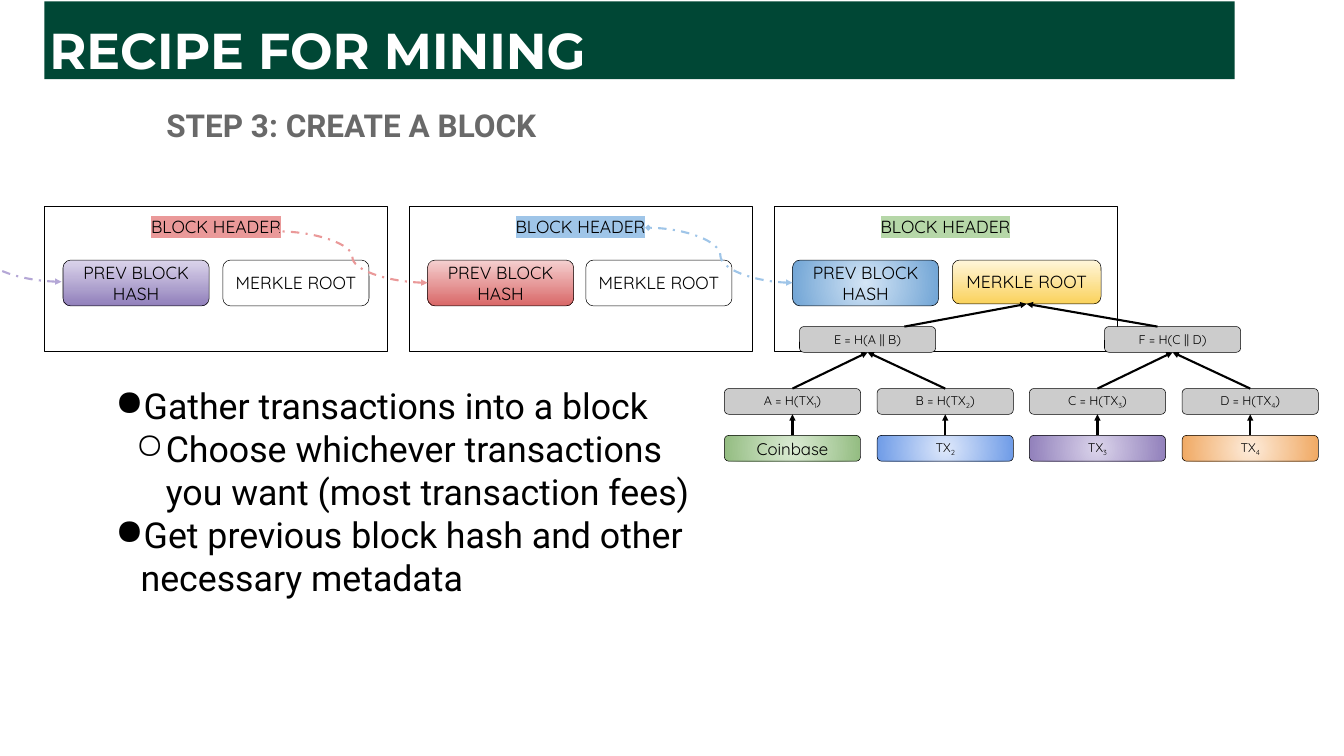
from lxml import etree
from pptx import Presentation
from pptx.dml.color import RGBColor
from pptx.enum.dml import MSO_LINE
from pptx.enum.shapes import MSO_CONNECTOR, MSO_SHAPE
from pptx.enum.text import MSO_ANCHOR, PP_ALIGN
from pptx.oxml.ns import qn
from pptx.util import Pt

PX = 9144  # 100 px to the inch
RECT, ROUNDED = MSO_SHAPE.RECTANGLE, MSO_SHAPE.ROUNDED_RECTANGLE
STRAIGHT, CURVE = MSO_CONNECTOR.STRAIGHT, MSO_CONNECTOR.CURVE
LEFT, CENTER = PP_ALIGN.LEFT, PP_ALIGN.CENTER
TOP, MIDDLE = MSO_ANCHOR.TOP, MSO_ANCHOR.MIDDLE
DASH_DOT = MSO_LINE.DASH_DOT
SITE_TOP, SITE_BOTTOM = 0, 2

BLACK = RGBColor(0x00, 0x00, 0x00)
WHITE = RGBColor(0xFF, 0xFF, 0xFF)
GREEN = RGBColor(0x00, 0x47, 0x35)
DARK_GRAY = RGBColor(0x69, 0x69, 0x69)
GRAY = RGBColor(0xCC, 0xCC, 0xCC)
PINK = RGBColor(0xEA, 0x99, 0x99)
SKY = RGBColor(0x9F, 0xC5, 0xE8)
LIME = RGBColor(0xB6, 0xD7, 0xA8)
LILAC = RGBColor(0xB4, 0xA7, 0xD6)
PURPLES = [RGBColor(0xDB, 0xD4, 0xEB), RGBColor(0x91, 0x80, 0xBB)]
REDS = [RGBColor(0xF5, 0xD0, 0xD0), RGBColor(0xD9, 0x68, 0x68)]
SKIES = [RGBColor(0xD4, 0xE5, 0xF5), RGBColor(0x70, 0xA4, 0xD5)]
YELLOWS = [RGBColor(0xFF, 0xF6, 0xDB), RGBColor(0xFA, 0xD2, 0x5C)]
LIMES = [RGBColor(0xDC, 0xEC, 0xD5), RGBColor(0x93, 0xBC, 0x81)]
BLUES = [RGBColor(0xDF, 0xE9, 0xFB), RGBColor(0x6E, 0x9B, 0xE7)]
ORANGES = [RGBColor(0xFD, 0xEC, 0xDB), RGBColor(0xF0, 0xA9, 0x63)]

presentation = Presentation()
presentation.slide_width, presentation.slide_height = 2666 * PX, 1500 * PX
slide = presentation.slides.add_slide(presentation.slide_layouts[6])


def write(paragraph, text, size, name="Quicksand", color=BLACK, bold=False, align=CENTER):
    """Fill a paragraph; every second piece between underscores is a subscript."""
    paragraph.alignment = align
    for number, piece in enumerate(text.split("_")):
        if not piece:
            continue
        run = paragraph.add_run()
        run.text = piece
        for key, value in {"size": Pt(size), "name": name, "bold": bold}.items():
            setattr(run.font, key, value)
        run.font.color.rgb = color
        if number % 2:
            run.font._element.set("baseline", "-25000")


def add_box(kind, x, y, width, height, fill, text, size, radial=False):
    """Add an outlined, labelled box; a list of two colours gives a gradient."""
    shape = slide.shapes.add_shape(kind, x * PX, y * PX, width * PX, height * PX)
    shape.shadow.inherit = False
    if isinstance(fill, list):
        shape.fill.gradient()
        shape.fill.gradient_angle = 270
        for stop, color in zip(shape.fill.gradient_stops, fill):
            stop.color.rgb = color
        if radial:
            linear = shape._element.spPr.find(".//" + qn("a:lin"))
            circle = etree.Element(qn("a:path"), path="circle")
            etree.SubElement(circle, qn("a:fillToRect"), dict.fromkeys("ltrb", "50000"))
            linear.getparent().replace(linear, circle)
    else:
        shape.fill.solid()
        shape.fill.fore_color.rgb = fill
    shape.line.color.rgb = BLACK
    shape.line.width = Pt(0.75)
    frame = shape.text_frame
    frame.word_wrap = True
    frame.vertical_anchor = MIDDLE
    for side in ("left", "top", "right", "bottom"):
        setattr(frame, "margin_" + side, 10 * PX)
    write(frame.paragraphs[0], text, size)
    return shape


# Title band
title = add_box(RECT, 88, 3, 2361, 154, GREEN, "", 72)
title.line.fill.background()
title.text_frame.margin_top = title.text_frame.margin_bottom = 5 * PX
paragraph = title.text_frame.paragraphs[0]
paragraph.line_spacing = 1.31
write(paragraph, "RECIPE FOR MINING", 72, "Montserrat", WHITE, True, LEFT)

# Subtitle
subtitle = slide.shapes.add_textbox(320 * PX, 193 * PX, 1177 * PX, 110 * PX)
subtitle.text_frame.word_wrap = True
subtitle.text_frame.vertical_anchor = MIDDLE
write(subtitle.text_frame.paragraphs[0], "STEP 3: CREATE A BLOCK", 45, "Roboto", DARK_GRAY, True, LEFT)

# Bulleted steps
steps = slide.shapes.add_textbox(219 * PX, 752 * PX, 1177 * PX, 906 * PX)
frame = steps.text_frame
frame.word_wrap = True
frame.margin_top = 10 * PX
for number, (level, text) in enumerate([
    (0, "Gather transactions into a block"),
    (1, "Choose whichever transactions you want (most transaction fees)"),
    (0, "Get previous block hash and other necessary metadata"),
]):
    paragraph = frame.add_paragraph() if number else frame.paragraphs[0]
    paragraph.level = level
    properties = paragraph._p.get_or_add_pPr()
    properties.set("marL", str(50 * (level + 1) * PX))
    properties.set("indent", str(-60 * PX))
    bullet_color = etree.SubElement(properties, qn("a:buClr"))
    etree.SubElement(bullet_color, qn("a:srgbClr"), val=str(BLACK))
    etree.SubElement(properties, qn("a:buChar"), char="●○"[level])
    write(paragraph, text, 51, "Roboto", align=LEFT)

# Chain of blocks: header colour, hash fill, radial hash, root offset, width, height, fill
for number, (header, hash_fill, radial, offset, width, height, root_fill) in enumerate([
    (PINK, PURPLES, False, 354, 290, 91, WHITE),
    (SKY, REDS, False, 351, 290, 91, WHITE),
    (LIME, SKIES, True, 354, 295, 87, YELLOWS),
]):
    x = 88 + number * 1447 // 2
    block = add_box(RECT, x, 409, 681, 288, WHITE, "BLOCK HEADER", 25)
    block.text_frame.vertical_anchor = TOP
    block.text_frame.margin_top = 20 * PX
    run_properties = block.text_frame.paragraphs[0].runs[0].font._element
    highlight = etree.Element(qn("a:highlight"))
    etree.SubElement(highlight, qn("a:srgbClr"), val=str(header))
    run_properties.find(qn("a:solidFill")).addnext(highlight)
    add_box(ROUNDED, x + 37, 516, 290, 91, hash_fill, "PREV BLOCK HASH", 25, radial)
    root = add_box(ROUNDED, x + offset, 516, width, height, root_fill, "MERKLE ROOT", 25)

# Merkle tree, with links as kind, start, end, colour, start shape, end shape
links = []
parents = []
for x, text, start in [(1586, "E = H(A || B)", 1794), (2191, "F = H(C || D)", 2296)]:
    parents.append(add_box(ROUNDED, x, 648, 270, 51, GRAY, text, 18))
    links.append((STRAIGHT, (start, 648), (2036, 603), BLACK, None, root))
for number, (text, size, fill) in enumerate([
    ("Coinbase", 24, LIMES), ("TX_2_", 18, BLUES), ("TX_3_", 18, PURPLES), ("TX_4_", 18, ORANGES),
]):
    x = 1437 + round(number * 908 / 3)
    label = f"{'ABCD'[number]} = H(TX_{number + 1}_)"
    leaf = add_box(ROUNDED, x, 771, 270, 51, GRAY, label, 18)
    transaction = add_box(ROUNDED, x, 864, 270, 51, fill, text, size, True)
    middle = x + 135
    links.append((STRAIGHT, (middle, 864), (middle, 822), BLACK, transaction, leaf))
    links.append((STRAIGHT, (middle, 771), (middle, 699), BLACK, leaf, parents[number // 2]))

# Curves from each previous hash back to the header it refers to
links += [
    (CURVE, (848, 561), (550, 459), PINK, None, None),
    (CURVE, (1572, 561), (1286, 452), SKY, None, None),
    (CURVE, (122, 559), (-176, 457), LILAC, None, None),
]

# Arrows
for kind, start, end, color, source, target in links:
    connector = slide.shapes.add_connector(kind, *(value * PX for value in start + end))
    if source:
        connector.begin_connect(source, SITE_TOP)
    if target:
        connector.end_connect(target, SITE_BOTTOM)
    connector.line.color.rgb = color
    connector.line.width = Pt(3)
    ends = {"tailEnd": "triangle"}
    if kind == CURVE:
        connector.line.dash_style = DASH_DOT
        ends = {"headEnd": "triangle", "tailEnd": "diamond"}
    for tag, style in ends.items():
        etree.SubElement(connector.line._get_or_add_ln(), qn("a:" + tag), type=style)
    etree.SubElement(connector._element.spPr, qn("a:effectLst"))

presentation.save("out.pptx")
